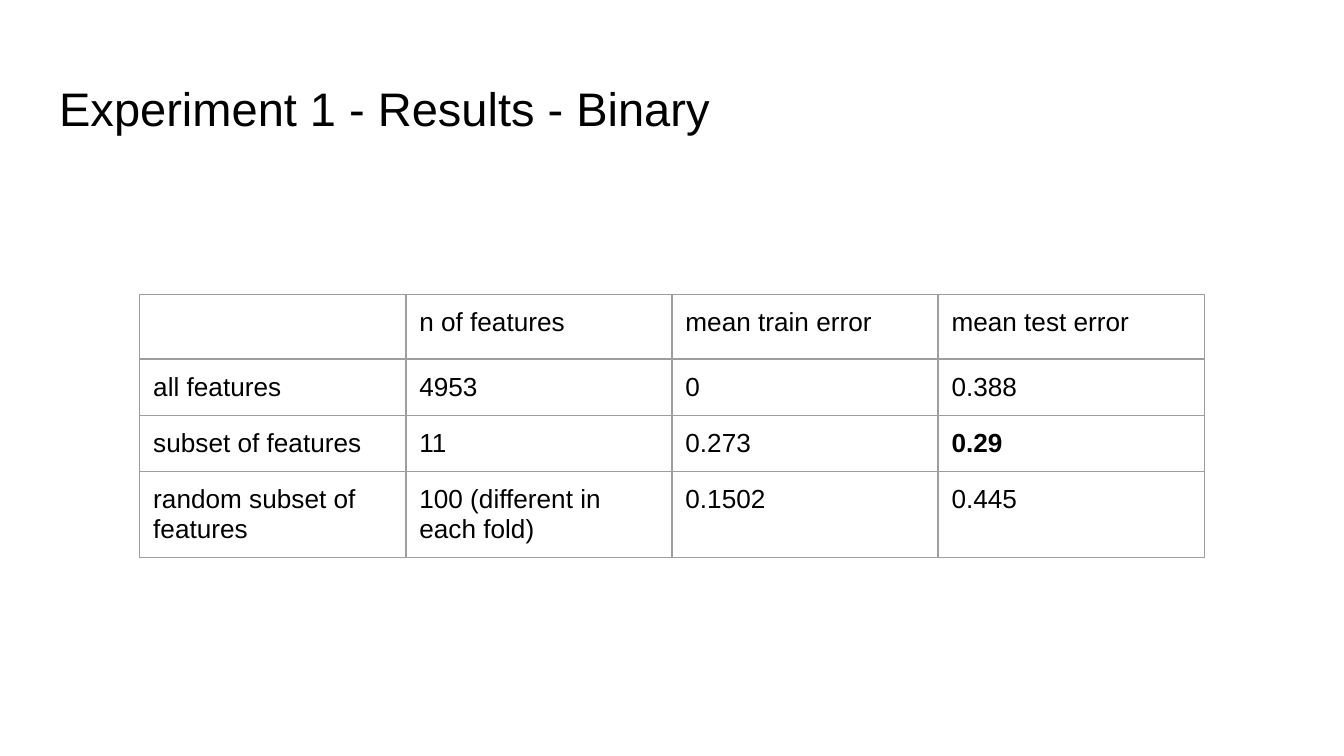
"""Build the slide with the binary results of experiment 1."""
from lxml import etree
from pptx import Presentation
from pptx import util as u
from pptx.dml.color import RGBColor
from pptx.enum import text
from pptx.oxml.ns import qn

TITLE = "Experiment 1 - Results - Binary"
ROWS = [
    ("", "n of features", "mean train error", "mean test error"),
    ("all features", "4953", "0", "0.388"),
    ("subset of features", "11", "0.273", "0.29"),
    ("random subset of features", "100 (different in each fold)", "0.1502", "0.445"),
]
BEST = "0.29"
FONT = "Arial"
WIDTH = 10
HEIGHT = WIDTH * 9 / 16
COLUMN, ROW = 1.98, 0.42
TABLE_LEFT, TABLE_TOP = 1.04, 2.19
INSETS = {f"margin_{side}": u.Inches(0.1) for side in ("left", "right", "top", "bottom")}
BLACK, GREY = "000000", "9E9E9E"


def set_all(target, values):
    for name, value in values.items():
        setattr(target, name, value)


def write(frame, words, size, bold=False):
    para = frame.paragraphs[0]
    para.alignment = text.PP_ALIGN.LEFT
    span = para.add_run()
    span.text = words
    set_all(span.font, {"name": FONT, "size": u.Pt(size), "bold": bold})
    span.font.color.rgb = RGBColor.from_string(BLACK)


def set_empty_font(frame):
    end = etree.SubElement(frame.paragraphs[0]._p, qn("a:endParaRPr"), sz="1800")
    etree.SubElement(end, qn("a:latin"), typeface=FONT)


def add_borders(cell):
    props = cell._tc.get_or_add_tcPr()
    for position, side in enumerate(("lnL", "lnR", "lnT", "lnB")):
        line = etree.Element(qn(f"a:{side}"), w=str(u.Pt(0.75)))
        fill = etree.SubElement(line, qn("a:solidFill"))
        etree.SubElement(fill, qn("a:srgbClr"), val=GREY)
        props.insert(position, line)


def add_title(page):
    box = page.shapes.title
    margin = 0.34
    set_all(box, {"left": u.Inches(margin), "top": u.Inches(0.49),
                  "width": u.Inches(WIDTH - 2 * margin), "height": u.Inches(0.63)})
    frame = box.text_frame
    set_all(frame, INSETS)
    set_all(frame, {"word_wrap": True, "auto_size": text.MSO_AUTO_SIZE.NONE,
                    "vertical_anchor": text.MSO_ANCHOR.TOP})
    write(frame, TITLE, 25.2)


def add_results(page):
    count = len(ROWS[0])
    table = page.shapes.add_table(
        len(ROWS), count, u.Inches(TABLE_LEFT), u.Inches(TABLE_TOP),
        u.Inches(COLUMN * count), u.Inches(ROW * len(ROWS))).table
    set_all(table, {"first_row": False, "horz_banding": False})
    for column in table.columns:
        column.width = u.Inches(COLUMN)
    for row, values in zip(table.rows, ROWS):
        row.height = u.Inches(ROW)
        for cell, words in zip(row.cells, values):
            set_all(cell, INSETS)
            cell.fill.background()
            add_borders(cell)
            if words:
                write(cell.text_frame, words, 14, words == BEST)
            else:
                set_empty_font(cell.text_frame)


def main():
    deck = Presentation()
    set_all(deck, {"slide_width": u.Inches(WIDTH), "slide_height": u.Inches(HEIGHT)})
    page = deck.slides.add_slide(deck.slide_layouts[5])
    add_title(page)
    add_results(page)
    deck.save("out.pptx")


if __name__ == "__main__":
    main()
